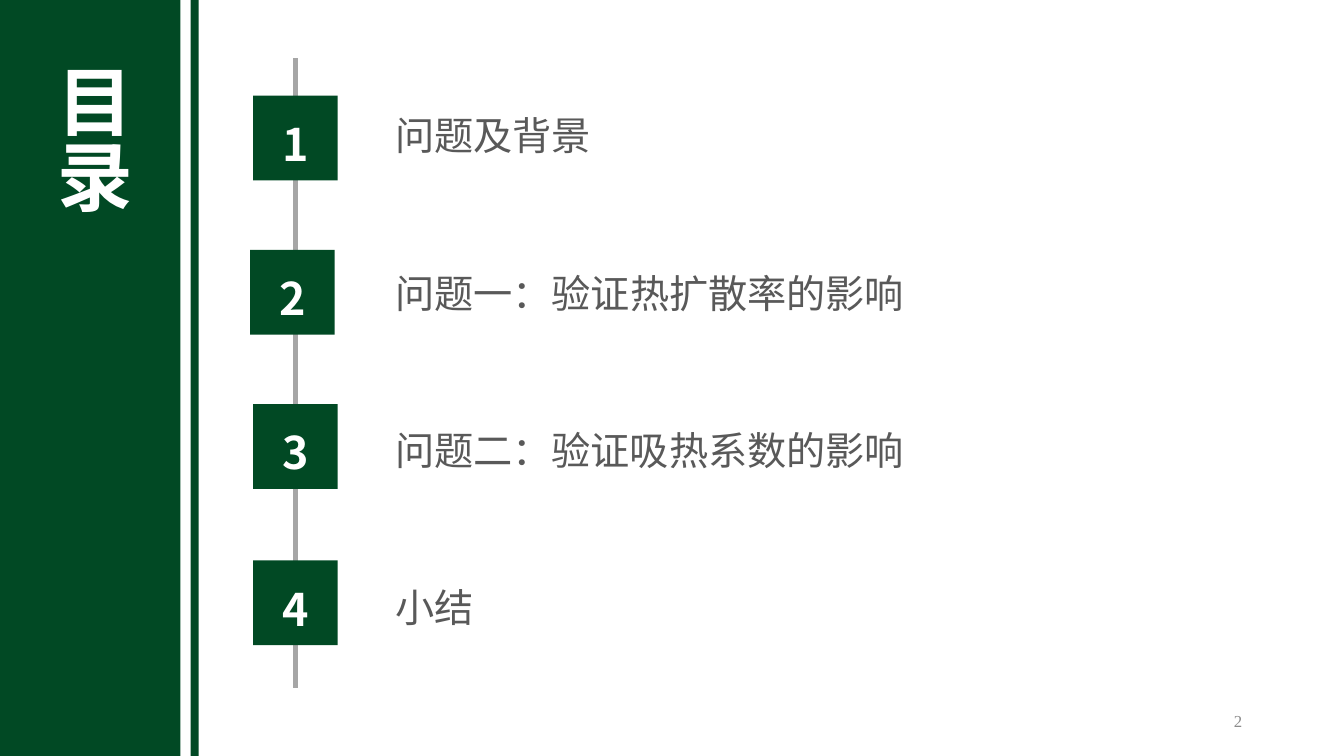
from dataclasses import dataclass

from pptx import Presentation
from pptx import util as u
from pptx.dml.color import RGBColor
from pptx.enum import shapes, text
from pptx.oxml import ns, xmlchemy


@dataclass(frozen=True)
class Theme:
    green: str = "014924"
    white: str = "FFFFFF"
    body: str = "595959"
    spine: str = "A6A6A6"
    muted: str = "8C8C8C"
    sans: str = "Noto Sans CJK SC"
    serif: str = "Times New Roman"
    title_size: int = 54
    badge_size: int = 32
    entry_size: int = 28
    number_size: int = 12


def write(shape, content, *, size, color, font, east_asian=None, bold=False,
          align=text.PP_ALIGN.LEFT, anchor=text.MSO_ANCHOR.TOP, wrap=True):
    """Fill a shape with one formatted paragraph."""
    frame = shape.text_frame
    frame.word_wrap = wrap
    frame.vertical_anchor = anchor
    paragraph = frame.paragraphs[0]
    paragraph.alignment = align
    run = paragraph.add_run()
    run.text = content
    run.font.size = u.Pt(size)
    run.font.bold = bold
    run.font.name = font
    run.font.color.rgb = RGBColor.from_string(color)
    # East Asian typeface
    typeface = xmlchemy.OxmlElement("a:ea")
    typeface.set("typeface", east_asian or font)
    run.font._element.find(ns.qn("a:latin")).addnext(typeface)


class AgendaSlide:
    def __init__(self, presentation, theme):
        self.theme = theme
        self.slide = presentation.slides.add_slide(presentation.slide_layouts[5])

    def rectangle(self, left, top, width, height):
        shape = self.slide.shapes.add_shape(
            shapes.MSO_SHAPE.RECTANGLE, *map(u.Inches, (left, top, width, height)))
        shape.shadow.inherit = False
        shape.fill.solid()
        shape.fill.fore_color.rgb = RGBColor.from_string(self.theme.green)
        shape.line.fill.background()
        return shape

    def line(self, x, top, bottom):
        connector = self.slide.shapes.add_connector(
            shapes.MSO_CONNECTOR.STRAIGHT, *map(u.Inches, (x, top, x, bottom)))
        connector.line.color.rgb = RGBColor.from_string(self.theme.spine)
        connector.line.width = u.Pt(4)
        connector._element.spPr.append(xmlchemy.OxmlElement("a:effectLst"))

    def title(self, content):
        shape = self.slide.shapes.title
        shape.left, shape.top = u.Inches(0.36), u.Inches(0.58)
        shape.width, shape.height = u.Inches(1.11), u.Inches(2.11)
        write(shape, content, size=self.theme.title_size, color=self.theme.white,
              font=self.theme.serif, east_asian=self.theme.sans, bold=True,
              align=text.PP_ALIGN.JUSTIFY)
        shape.text_frame.auto_size = text.MSO_AUTO_SIZE.NONE
        shape.text_frame._txBody.bodyPr.set("vert", "eaVert")
        # Bring the title in front of the side band
        shape.element.getparent().append(shape.element)

    def badge(self, left, top, number):
        shape = self.rectangle(left, top, 0.84, 0.84)
        frame = shape.text_frame
        frame.margin_left = frame.margin_right = frame.margin_bottom = 0
        frame.margin_top = u.Inches(0.11)
        write(shape, str(number), size=self.theme.badge_size, color=self.theme.white,
              font=self.theme.sans, bold=True, align=text.PP_ALIGN.CENTER,
              anchor=text.MSO_ANCHOR.MIDDLE)

    def label(self, left, top, width, height, content, **style):
        shape = self.slide.shapes.add_textbox(
            *map(u.Inches, (left, top, width, height)))
        write(shape, content, **style)


def main():
    theme = Theme()
    presentation = Presentation()
    presentation.slide_width = u.Inches(13.33)
    presentation.slide_height = u.Inches(7.5)
    agenda = AgendaSlide(presentation, theme)

    # Side bands and title
    for left, width in ((0, 1.79), (1.89, 0.08)):
        agenda.rectangle(left, 0, width, 7.5)
    agenda.title("目录")

    # Spine with numbered entries: badge left, badge top, text width, text
    agenda.line(2.93, 0.58, 6.83)
    entries = (
        (2.51, 0.95, 2.17, "问题及背景"),
        (2.48, 2.48, 5.31, "问题一：验证热扩散率的影响"),
        (2.51, 4.01, 5.5, "问题二：验证吸热系数的影响"),
        (2.51, 5.56, 0.99, "小结"),
    )
    for index, (left, top, width, content) in enumerate(entries):
        agenda.badge(left, top, index + 1)
        agenda.label(3.82, 1.06 + 1.56 * index, width, 0.57, content,
                     size=theme.entry_size, color=theme.body, font=theme.sans,
                     wrap=False)

    # Slide number
    agenda.label(9.42, 6.95, 3, 0.4, "2", size=theme.number_size,
                 color=theme.muted, font=theme.serif,
                 align=text.PP_ALIGN.RIGHT, anchor=text.MSO_ANCHOR.MIDDLE)

    presentation.save("out.pptx")


if __name__ == "__main__":
    main()
